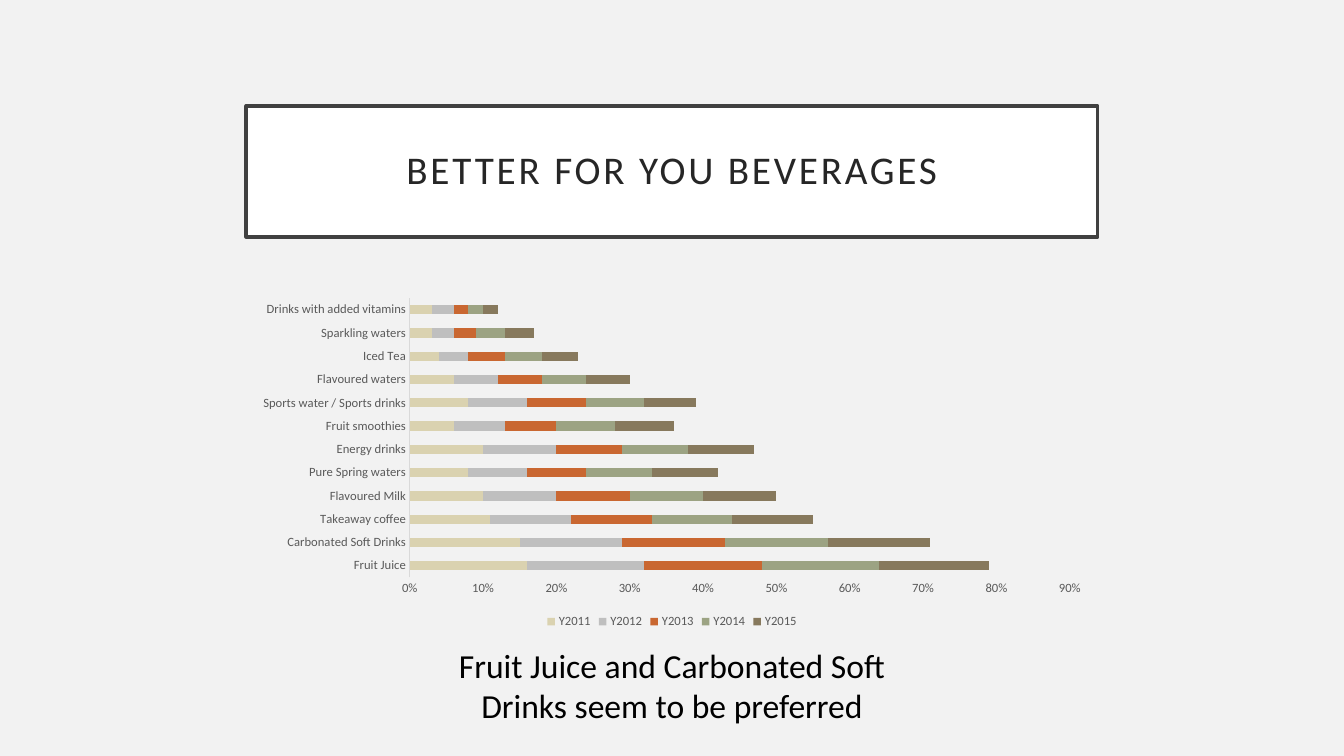
from dataclasses import dataclass

from pptx import Presentation
from pptx.chart.data import CategoryChartData
from pptx.dml.color import RGBColor
from pptx.enum.chart import XL_CHART_TYPE as ChartType
from pptx.enum.chart import XL_LEGEND_POSITION as LegendPosition
from pptx.enum.chart import XL_TICK_MARK as TickMark
from pptx.enum.text import MSO_ANCHOR as Anchor
from pptx.enum.text import MSO_AUTO_SIZE as AutoSize
from pptx.enum.text import PP_ALIGN as Align
from pptx.util import Cm, Pt


@dataclass(frozen=True)
class Theme:
    font: str = "Calibri"
    background: str = "F2F2F2"
    panel: str = "FFFFFF"
    frame: str = "404040"
    heading: str = "262626"
    body: str = "000000"
    label: str = "595959"
    axis: str = "D9D9D9"
    years: tuple = ("DAD2B0", "BFBFBF", "C96731", "9CA383", "87795D")
    heading_size: int = 28
    body_size: int = 24
    label_size: int = 9


THEME = Theme()
SLIDE_WIDTH, SLIDE_HEIGHT = 33.87, 19.05
YEARS = ("Y2011", "Y2012", "Y2013", "Y2014", "Y2015")
SHARES = {
    "Fruit Juice": (0.16, 0.16, 0.16, 0.16, 0.15),
    "Carbonated Soft Drinks": (0.15, 0.14, 0.14, 0.14, 0.14),
    "Takeaway coffee": (0.11, 0.11, 0.11, 0.11, 0.11),
    "Flavoured Milk": (0.1, 0.1, 0.1, 0.1, 0.1),
    "Pure Spring waters": (0.08, 0.08, 0.08, 0.09, 0.09),
    "Energy drinks": (0.1, 0.1, 0.09, 0.09, 0.09),
    "Fruit smoothies": (0.06, 0.07, 0.07, 0.08, 0.08),
    "Sports water / Sports drinks": (0.08, 0.08, 0.08, 0.08, 0.07),
    "Flavoured waters": (0.06, 0.06, 0.06, 0.06, 0.06),
    "Iced Tea": (0.04, 0.04, 0.05, 0.05, 0.05),
    "Sparkling waters": (0.03, 0.03, 0.03, 0.04, 0.04),
    "Drinks with added vitamins": (0.03, 0.03, 0.02, 0.02, 0.02),
}


def centred_box(top, width, height):
    return Cm((SLIDE_WIDTH - width) / 2), Cm(top), Cm(width), Cm(height)


def paint(fill, color):
    fill.solid()
    fill.fore_color.rgb = RGBColor.from_string(color)


def style_font(font, size, color):
    font.name = THEME.font
    font.size = Pt(size)
    font.color.rgb = RGBColor.from_string(color)


def write_centred(frame, text, size, color):
    frame.word_wrap = True
    frame.text = text
    paragraph = frame.paragraphs[0]
    paragraph.alignment = Align.CENTER
    style_font(paragraph.runs[0].font, size, color)
    return paragraph


def place_heading(slide, box):
    heading = slide.shapes.title
    heading.left, heading.top, heading.width, heading.height = box
    paint(heading.fill, THEME.panel)
    paint(heading.line.fill, THEME.frame)
    heading.line.width = Pt(2.5)
    frame = heading.text_frame
    frame.auto_size = AutoSize.NONE
    frame.vertical_anchor = Anchor.MIDDLE
    frame.margin_left = frame.margin_right = Cm(0.51)
    frame.margin_top = frame.margin_bottom = Cm(0.51)
    paragraph = write_centred(frame, "BETTER FOR YOU BEVERAGES", THEME.heading_size, THEME.heading)
    paragraph.line_spacing = 0.9
    paragraph.runs[0].font._element.set("spc", "200")


def place_shares(slide, box):
    shares = CategoryChartData(number_format="0%")
    shares.categories = SHARES.keys()
    for year, values in zip(YEARS, zip(*SHARES.values())):
        shares.add_series(year, values)
    chart = slide.shapes.add_chart(ChartType.BAR_STACKED, *box, shares).chart
    chart.has_title = False
    style_font(chart.font, THEME.label_size, THEME.label)

    plot = chart.plots[0]
    plot.gap_width = 150
    plot.overlap = 100
    plot.vary_by_categories = False
    for series, color in zip(plot.series, THEME.years):
        paint(series.format.fill, color)

    drinks, percent = chart.category_axis, chart.value_axis
    for axis in (drinks, percent):
        axis.has_major_gridlines = False
        axis.major_tick_mark = axis.minor_tick_mark = TickMark.NONE
        style_font(axis.tick_labels.font, THEME.label_size, THEME.label)
    paint(drinks.format.line.fill, THEME.axis)
    drinks.format.line.width = Pt(0.75)
    percent.format.line.fill.background()
    percent.minimum_scale, percent.maximum_scale, percent.major_unit = 0, 0.9, 0.1
    percent.tick_labels.number_format = "0%"
    percent.tick_labels.number_format_is_linked = False

    chart.has_legend = True
    chart.legend.position = LegendPosition.BOTTOM
    chart.legend.include_in_layout = False
    style_font(chart.legend.font, THEME.label_size, THEME.label)


def place_takeaway(slide, box):
    takeaway = slide.shapes.add_textbox(*box)
    write_centred(
        takeaway.text_frame,
        "Fruit Juice and Carbonated Soft Drinks seem to be preferred",
        THEME.body_size,
        THEME.body,
    )
    takeaway.text_frame.auto_size = AutoSize.SHAPE_TO_FIT_TEXT


def build_beverages(deck):
    slide = deck.slides.add_slide(deck.slide_layouts.get_by_name("Title Only"))
    paint(slide.background.fill, THEME.background)
    place_heading(slide, centred_box(2.67, 21.46, 3.3))
    place_shares(slide, centred_box(7.34, 21.46, 8.61))
    place_takeaway(slide, centred_box(16.13, 12.22, 2.31))


deck = Presentation()
deck.slide_width, deck.slide_height = Cm(SLIDE_WIDTH), Cm(SLIDE_HEIGHT)
build_beverages(deck)
deck.save("out.pptx")
